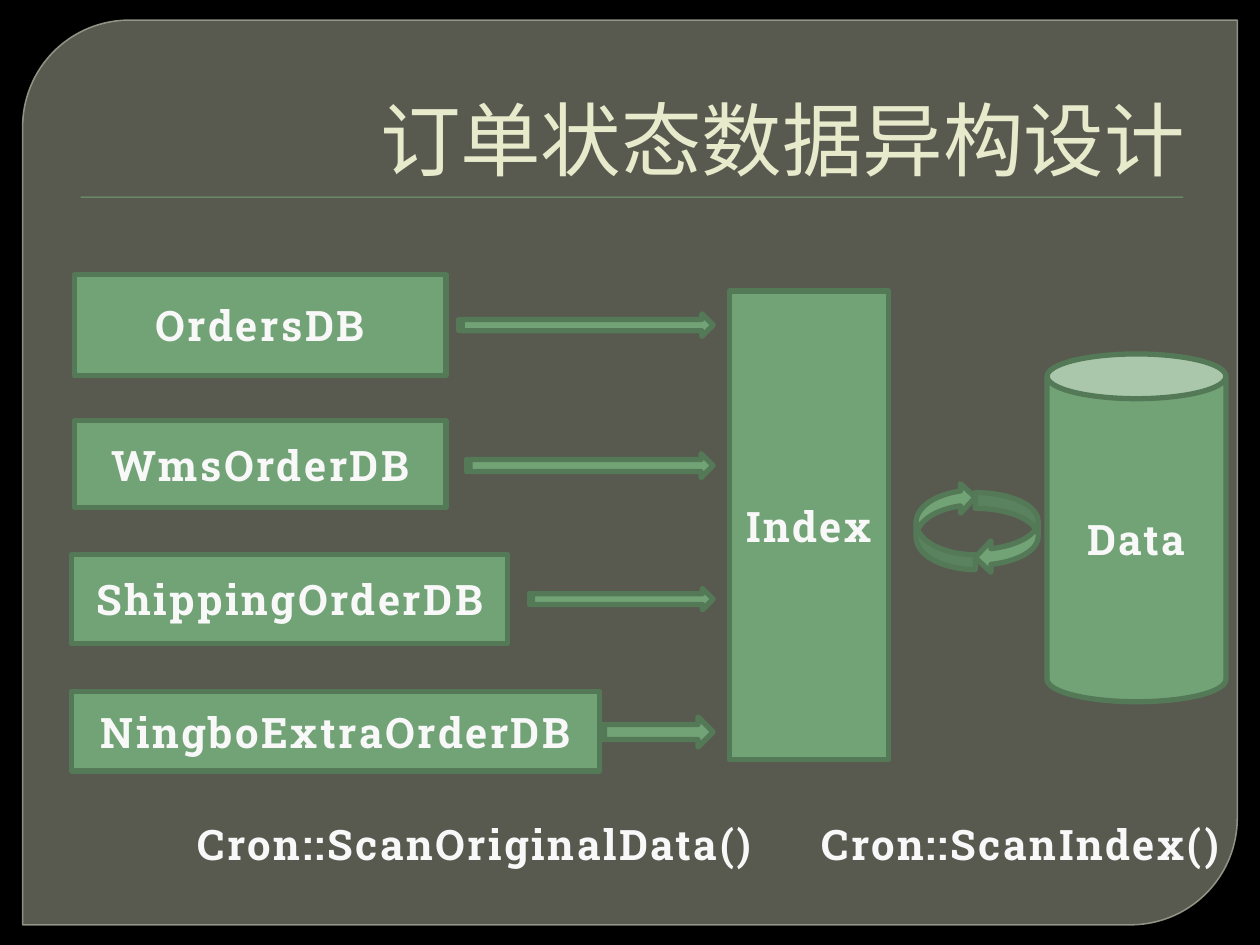
"""Build the slide on the order status data design."""
from lxml import etree
from pptx import Presentation
from pptx.dml.color import RGBColor
from pptx.enum.shapes import MSO_SHAPE
from pptx.enum.text import MSO_ANCHOR, MSO_AUTO_SIZE, PP_ALIGN
from pptx.oxml.ns import qn
from pptx.util import Inches, Pt

RECTANGLE = MSO_SHAPE.RECTANGLE
PANEL = MSO_SHAPE.ROUND_2_DIAG_RECTANGLE
ARROW = MSO_SHAPE.STRIPED_RIGHT_ARROW
CURVED_RIGHT = MSO_SHAPE.CURVED_RIGHT_ARROW
CURVED_LEFT = MSO_SHAPE.CURVED_LEFT_ARROW
CAN = MSO_SHAPE.CAN
LEFT, CENTER, RIGHT = PP_ALIGN.LEFT, PP_ALIGN.CENTER, PP_ALIGN.RIGHT
MIDDLE, BOTTOM = MSO_ANCHOR.MIDDLE, MSO_ANCHOR.BOTTOM
GROW, NO_FIT = MSO_AUTO_SIZE.SHAPE_TO_FIT_TEXT, MSO_AUTO_SIZE.NONE

BLACK = RGBColor(0x00, 0x00, 0x00)
PANEL_GRAY = RGBColor(0x88, 0x8B, 0x7B)
PANEL_EDGE = RGBColor(0x9D, 0xA0, 0x90)
GREEN = RGBColor(0x72, 0xA3, 0x76)
DARK_GREEN = RGBColor(0x54, 0x79, 0x57)
CREAM = RGBColor(0xE7, 0xEA, 0xCB)
WHITE = RGBColor(0xF8, 0xF8, 0xF8)
FONT = "Roboto Slab"
ARROW_TIP = 5.66

# name, left, top, width, height
DATABASES = [
    ("OrdersDB", 0.59, 2.18, 2.95, 0.8),
    ("WmsOrderDB", 0.59, 3.34, 2.95, 0.69),
    ("ShippingOrderDB", 0.57, 4.4, 3.46, 0.71),
    ("NingboExtraOrderDB", 0.57, 5.49, 4.19, 0.63),
]
# left, top, height
ARROWS = [(3.64, 2.49, 0.18), (3.7, 3.6, 0.19), (4.2, 4.67, 0.17), (4.76, 5.69, 0.24)]
CAPTIONS = [("Cron::ScanOriginalData()", 1.47, 4.85), ("Cron::ScanIndex()", 6.42, 3.42)]


def write_text(shape, text, size=24, color=WHITE, bold=True, spacing=1.5, align=CENTER):
    """Write one formatted paragraph into a shape."""
    shape.text_frame.word_wrap = True
    para = shape.text_frame.paragraphs[0]
    para.alignment = align
    span = para.add_run()
    span.text = text
    span.font.name = FONT
    span.font.size = Pt(size)
    span.font.bold = bold
    span.font.color.rgb = color
    span.font._element.set("spc", str(round(spacing * 100)))


def set_opacity(fill_format, percent):
    """Make a solid fill partly transparent."""
    color = fill_format._xPr.find(qn("a:solidFill"))[0]
    etree.SubElement(color, qn("a:alpha")).set("val", str(percent * 1000))


def add_block(page, kind, left, top, width, height, text="", fill=GREEN,
              line=DARK_GREEN, weight=3):
    """Add a filled preset shape, with a label if one is given."""
    block = page.shapes.add_shape(
        kind, Inches(left), Inches(top), Inches(width), Inches(height))
    block.shadow.inherit = False
    block.fill.solid()
    block.fill.fore_color.rgb = fill
    if line is None:
        block.line.fill.background()
    else:
        block.line.color.rgb = line
        block.line.width = Pt(weight)
    if text:
        block.text_frame.vertical_anchor = MIDDLE
        write_text(block, text)
    return block


def add_backdrop(page):
    """Add the background, the rounded panel and the title rule."""
    page.background.fill.solid()
    page.background.fill.fore_color.rgb = BLACK
    panel = add_block(page, PANEL, 0.18, 0.16, 9.64, 7.18,
                      fill=PANEL_GRAY, line=PANEL_EDGE, weight=0.87)
    panel.adjustments[0] = 0.118
    panel.adjustments[1] = 0
    set_opacity(panel.fill, 65)
    set_opacity(panel.line.fill, 88)
    add_block(page, RECTANGLE, 0.64, 1.56, 8.75, 0.01, line=None)


def add_title(page, text):
    """Place the title in front of the panel."""
    title = page.shapes.title
    title.left, title.top = Inches(0.5), Inches(0.28)
    title.width, title.height = Inches(9), Inches(1.25)
    title.text_frame.vertical_anchor = BOTTOM
    title.text_frame.auto_size = NO_FIT
    write_text(title, text, size=46, color=CREAM, bold=False, spacing=0, align=RIGHT)
    page.shapes._spTree.append(title._element)


def add_cycle(page):
    """Add the two curved arrows between index and data."""
    forward = add_block(page, CURVED_RIGHT, 7.74, 3.91, 0.5, 0.64)
    forward._element.spPr.find(qn("a:xfrm")).set("flipH", "1")
    back = add_block(page, CURVED_LEFT, 7.27, 3.83, 0.47, 0.69)
    back.rotation = 180


def add_caption(page, text, left, width):
    """Add a caption under the diagram."""
    box = page.shapes.add_textbox(Inches(left), Inches(6.45), Inches(width), Inches(0.5))
    box.text_frame.auto_size = GROW
    write_text(box, text, align=LEFT)


def main():
    """Build and save the deck."""
    deck = Presentation()
    deck.slide_width, deck.slide_height = Inches(10), Inches(7.5)
    page = deck.slides.add_slide(deck.slide_layouts[5])
    add_backdrop(page)
    add_title(page, "订单状态数据异构设计")
    for name, *place in DATABASES:
        add_block(page, RECTANGLE, *place, text=name)
    for left, top, height in ARROWS:
        add_block(page, ARROW, left, top, ARROW_TIP - left, height)
    add_block(page, RECTANGLE, 5.79, 2.31, 1.26, 3.72, text="Index")
    add_cycle(page)
    add_block(page, CAN, 8.31, 2.81, 1.42, 2.76, text="Data")
    for caption in CAPTIONS:
        add_caption(page, *caption)
    deck.save("out.pptx")


if __name__ == "__main__":
    main()
